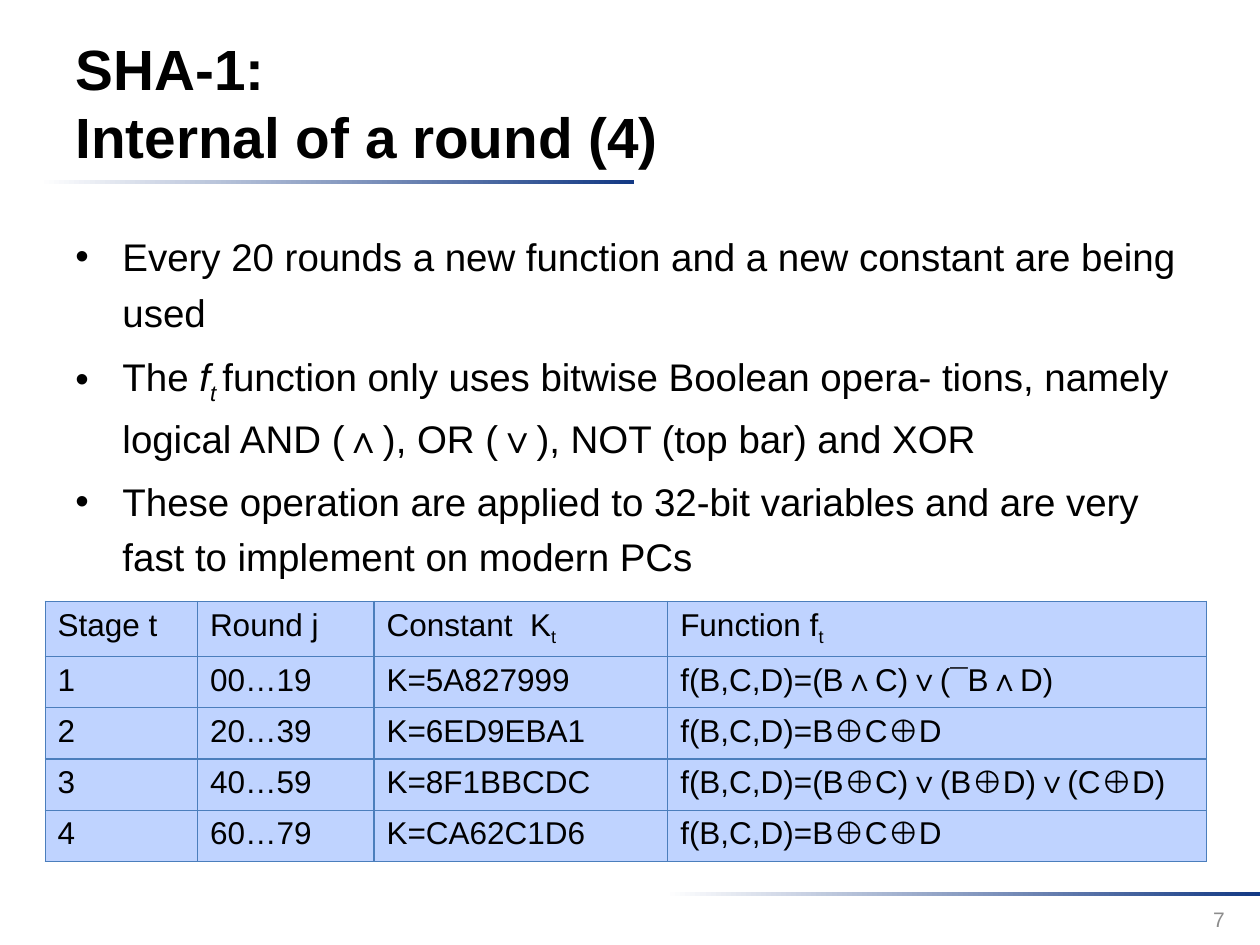
"""Build the slide on the round functions and constants of SHA-1."""
from dataclasses import dataclass

import lxml.etree
import pptx
import pptx.dml.color
import pptx.enum.shapes
import pptx.enum.text
import pptx.oxml
import pptx.oxml.ns
import pptx.util
from pptx.util import Cm

FONT = "Arial"
BLACK = "000000"
NAVY = "133984"
GREY = "8C8C8C"
CELL_BLUE = "BFD3FF"
BORDER_BLUE = "4B7EBC"


@dataclass(frozen=True)
class Area:
    left: float
    top: float
    width: float
    height: float

    def lengths(self) -> tuple:
        return Cm(self.left), Cm(self.top), Cm(self.width), Cm(self.height)


@dataclass(frozen=True)
class Span:
    text: str
    italic: bool = False
    subscript: bool = False


TITLE_AREA = Area(1.27, 0.46, 19.63, 3.18)
BODY_AREA = Area(1.27, 4.39, 22.86, 7.39)
TABLE_AREA = Area(0.91, 12.12, 23.42, 5.15)
NUMBER_AREA = Area(19.02, 18.01, 5.92, 1.02)
RULE_AREAS = [Area(0.79, 3.63, 11.99, 0.08), Area(13.41, 17.98, 11.99, 0.08)]
COLUMN_WIDTHS = [3.07, 3.56, 5.92, 10.87]

BULLETS = [
    [Span("Every 20 rounds a new function and a new constant are being used")],
    [
        Span("The "),
        Span("f", italic=True),
        Span("t ", italic=True, subscript=True),
        Span("function only uses bitwise Boolean opera- tions, namely "
             "logical AND (∧), OR (∨), NOT (top bar) and XOR"),
    ],
    [Span("These operation are applied to 32-bit variables and are very "
          "fast to implement on modern PCs")],
]

HEADER = [
    [Span("Stage t")],
    [Span("Round j")],
    [Span("Constant  K"), Span("t", subscript=True)],
    [Span("Function f"), Span("t", subscript=True)],
]
STAGES = [
    ("1", "00…19", "K=5A827999", "f(B,C,D)=(B∧C)∨(¯B∧D)"),
    ("2", "20…39", "K=6ED9EBA1", "f(B,C,D)=B⊕C⊕D"),
    ("3", "40…59", "K=8F1BBCDC", "f(B,C,D)=(B⊕C)∨(B⊕D)∨(C⊕D)"),
    ("4", "60…79", "K=CA62C1D6", "f(B,C,D)=B⊕C⊕D"),
]


def color(value: str) -> pptx.dml.color.RGBColor:
    return pptx.dml.color.RGBColor.from_string(value)


def format_font(font, size: float, value: str = BLACK) -> None:
    font.name = FONT
    font.size = pptx.util.Pt(size)
    font.color.rgb = color(value)


def write_spans(para, spans: list[Span], size: float) -> None:
    for span in spans:
        run = para.add_run()
        run.text = span.text
        format_font(run.font, size)
        run.font.italic = span.italic
        if span.subscript:
            run.font._element.set("baseline", "-25000")


def add_rule(page, area: Area) -> None:
    rectangle = pptx.enum.shapes.MSO_SHAPE.RECTANGLE
    rule = page.shapes.add_shape(rectangle, *area.lengths())
    rule.shadow.inherit = False
    rule.line.fill.background()
    rule.fill.gradient()
    rule.fill.gradient_angle = 0
    for stop, value in zip(rule.fill.gradient_stops, ("FFFFFF", NAVY)):
        stop.color.rgb = color(value)


def set_title(page, area: Area) -> None:
    title = page.shapes.title
    title.left, title.top, title.width, title.height = area.lengths()
    frame = title.text_frame
    frame.text = "SHA-1: \vInternal of a round (4)"
    frame.auto_size = pptx.enum.text.MSO_AUTO_SIZE.NONE
    frame.vertical_anchor = pptx.enum.text.MSO_ANCHOR.MIDDLE
    para = frame.paragraphs[0]
    para.alignment = pptx.enum.text.PP_ALIGN.LEFT
    for run in para.runs:
        format_font(run.font, 32.4)
        run.font.bold = True


def add_bullets(page, area: Area) -> None:
    frame = page.shapes.add_textbox(*area.lengths()).text_frame
    frame.word_wrap = True
    for index, spans in enumerate(BULLETS):
        para = frame.add_paragraph() if index else frame.paragraphs[0]
        para.line_spacing = 1.2
        para.space_before = pptx.util.Pt(4.4)
        write_spans(para, spans, 22)
        properties = para._p.get_or_add_pPr()
        properties.set("marL", str(Cm(0.95)))
        properties.set("indent", str(-Cm(0.95)))
        bullet_font = pptx.oxml.ns.qn("a:buFont")
        lxml.etree.SubElement(properties, bullet_font, typeface=FONT)
        lxml.etree.SubElement(properties, pptx.oxml.ns.qn("a:buChar"), char="•")


def set_borders(cell) -> None:
    properties = cell._tc.get_or_add_tcPr()
    for index, side in enumerate(("lnL", "lnR", "lnT", "lnB")):
        border = pptx.oxml.parse_xml(
            f'<a:{side} {pptx.oxml.ns.nsdecls("a")} w="{pptx.util.Pt(0.75)}">'
            f'<a:solidFill><a:srgbClr val="{BORDER_BLUE}"/></a:solidFill>'
            f"</a:{side}>"
        )
        properties.insert(index, border)


def add_stage_table(page, area: Area) -> None:
    rows = [HEADER] + [[[Span(text)] for text in stage] for stage in STAGES]
    shape = page.shapes.add_table(len(rows), len(HEADER), *area.lengths())
    table = shape.table
    for column, width in zip(table.columns, COLUMN_WIDTHS):
        column.width = Cm(width)
    for row, contents in zip(table.rows, rows):
        row.height = Cm(area.height / len(rows))
        for cell, spans in zip(row.cells, contents):
            cell.fill.solid()
            cell.fill.fore_color.rgb = color(CELL_BLUE)
            set_borders(cell)
            write_spans(cell.text_frame.paragraphs[0], spans, 18)
            for run in cell.text_frame.paragraphs[0].runs:
                run.font.bold = False


def add_page_number(page, area: Area) -> None:
    frame = page.shapes.add_textbox(*area.lengths()).text_frame
    frame.word_wrap = True
    frame.vertical_anchor = pptx.enum.text.MSO_ANCHOR.MIDDLE
    frame.text = "7"
    para = frame.paragraphs[0]
    para.alignment = pptx.enum.text.PP_ALIGN.RIGHT
    format_font(para.runs[0].font, 12, GREY)


def main() -> None:
    deck = pptx.Presentation()
    deck.slide_width, deck.slide_height = Cm(25.4), Cm(19.05)
    page = deck.slides.add_slide(deck.slide_layouts.get_by_name("Title Only"))
    for area in RULE_AREAS:
        add_rule(page, area)
    set_title(page, TITLE_AREA)
    add_page_number(page, NUMBER_AREA)
    add_stage_table(page, TABLE_AREA)
    add_bullets(page, BODY_AREA)
    deck.save("out.pptx")


if __name__ == "__main__":
    main()
